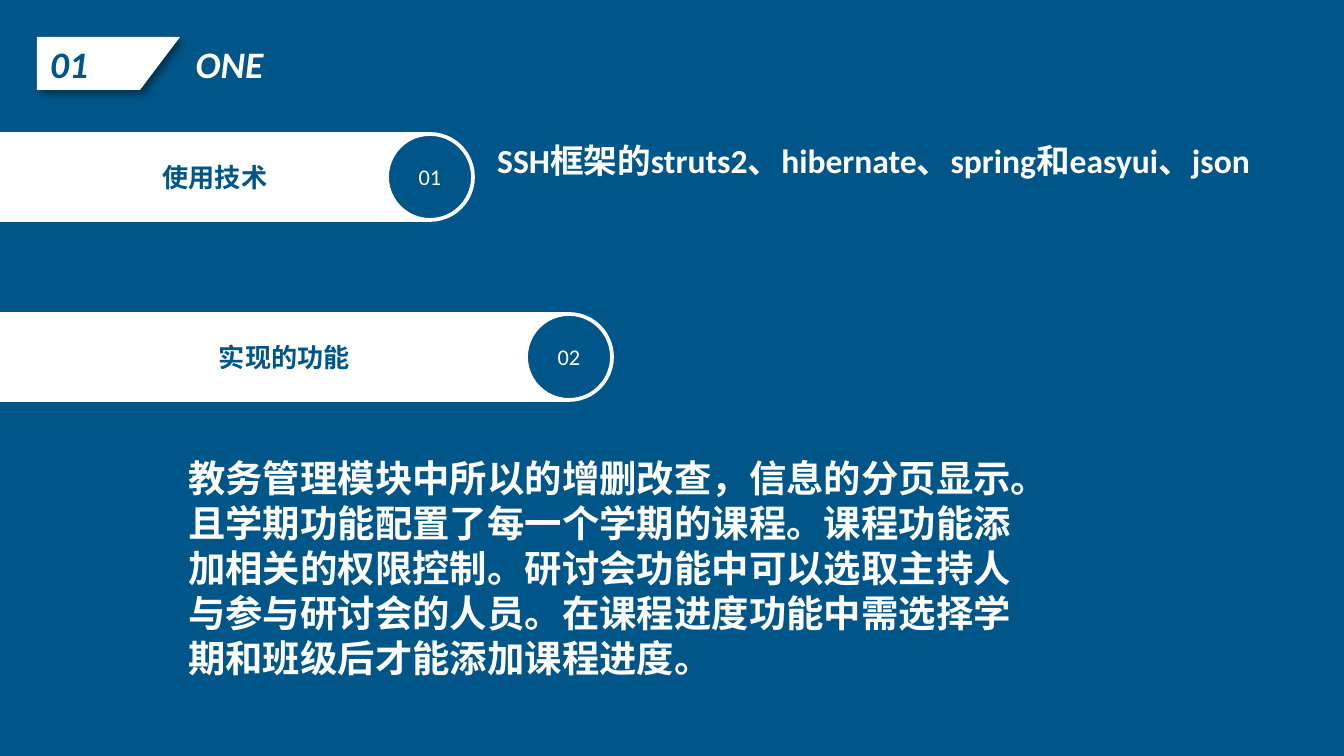
from lxml import etree
from pptx import Presentation
from pptx.dml.color import RGBColor
from pptx.enum.shapes import MSO_SHAPE as Kind
from pptx.enum.text import MSO_ANCHOR as Anchor, MSO_AUTO_SIZE as Fit, PP_ALIGN as Align
from pptx.util import Pt

PX = 914400 / 134.4
BLUE, WHITE = "005688", "FFFFFF"

TITLE = "ONE"
TAG = "01"
TAG_PTS = [(37, 37), (180, 37), (140, 90), (37, 90)]
BARS = [
    ("01", "使用技术", 134, 430),
    ("02", "实现的功能", 314, 569),
]
BAR_H = 86
NOTES = [
    ("SSH框架的struts2、hibernate、spring和easyui、json", (484, 113, 827, 129), 18, 1.5),
    ("教务管理模块中所以的增删改查，信息的分页显示。且学期功能配置了每一个学期的课程。"
     "课程功能添加相关的权限控制。研讨会功能中可以选取主持人与参与研讨会的人员。"
     "在课程进度功能中需选择学期和班级后才能添加课程进度。", (175, 449, 879, 245), 20, None),
]
SHADE = """<a:effectLst xmlns:a="http://schemas.openxmlformats.org/drawingml/2006/main">
<a:outerShdw blurRad="50800" dist="38100" dir="2700000" algn="tl" rotWithShape="0">
<a:srgbClr val="000000"><a:alpha val="40000"/></a:srgbClr></a:outerShdw></a:effectLst>"""


def px(*vals):
    return [round(v * PX) for v in vals]


def rgb(code):
    return RGBColor.from_string(code)


def write(shape, text, size, color, bold=True, italic=False,
          align=Align.LEFT, anchor=Anchor.MIDDLE):
    frame = shape.text_frame
    frame.text = text
    frame.word_wrap = True
    frame.vertical_anchor = anchor
    para = frame.paragraphs[0]
    para.alignment = align
    font = para.runs[0].font
    font.name, font.size = "Calibri", Pt(size)
    font.bold, font.italic = bold, italic
    font.color.rgb = rgb(color)
    return para


def paint(shape, color):
    shape.shadow.inherit = False
    shape.fill.solid()
    shape.fill.fore_color.rgb = rgb(color)
    shape.line.color.rgb = rgb(WHITE)
    shape.line.width = Pt(2)


deck = Presentation()
deck.slide_width, deck.slide_height = px(1344, 756)
slide = deck.slides.add_slide(deck.slide_layouts[5])
slide.background.fill.solid()
slide.background.fill.fore_color.rgb = rgb(BLUE)
shapes = slide.shapes

title = shapes.title
title.left, title.top, title.width, title.height = px(132, 34, 195, 59)
write(title, TITLE, 20, WHITE, italic=True, align=Align.CENTER, anchor=Anchor.TOP)
title.text_frame.auto_size = Fit.SHAPE_TO_FIT_TEXT

pen = shapes.build_freeform(*TAG_PTS[0], scale=PX)
pen.add_line_segments(TAG_PTS[1:], close=True)
tag = pen.convert_to_shape()
paint(tag, WHITE)
tag.line.fill.background()
props = tag._element.spPr
props.remove(props.find("{*}effectLst"))
props.append(etree.fromstring(SHADE))
write(tag, TAG, 20, BLUE, italic=True)

for num, name, top, width in BARS:
    bar = shapes.add_shape(Kind.RECTANGLE, *px(0, top, width, BAR_H))
    paint(bar, WHITE)
    write(bar, name, 14, BLUE, align=Align.CENTER)
    dot = shapes.add_shape(Kind.OVAL, *px(width - BAR_H / 2, top, BAR_H, BAR_H))
    paint(dot, BLUE)
    write(dot, num, 12, WHITE, bold=False, align=Align.CENTER)

for text, area, size, gap in NOTES:
    box = shapes.add_textbox(*px(*area))
    para = write(box, text, size, WHITE, anchor=Anchor.TOP)
    para.line_spacing = gap
    box.text_frame.auto_size = Fit.SHAPE_TO_FIT_TEXT

deck.save("out.pptx")
